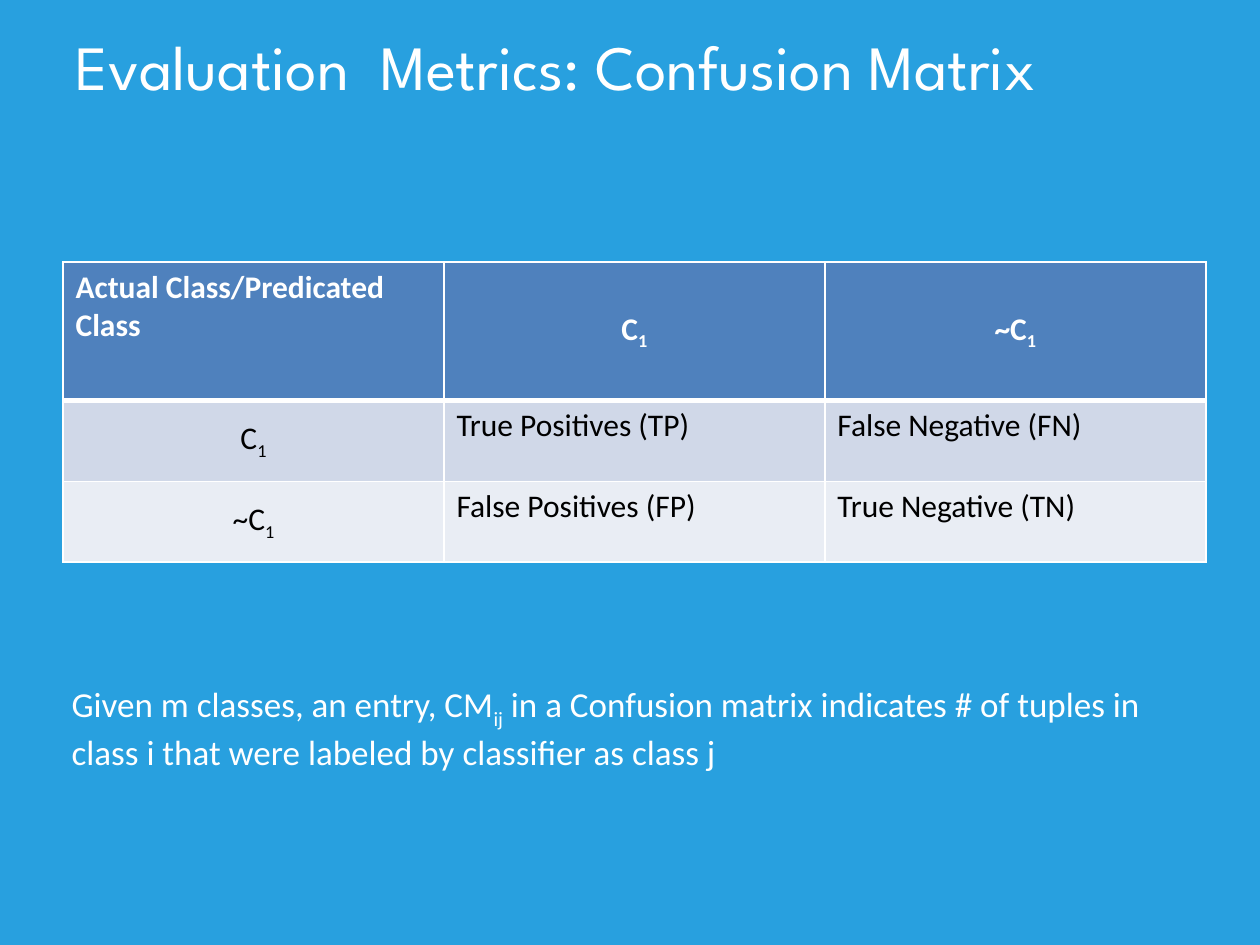
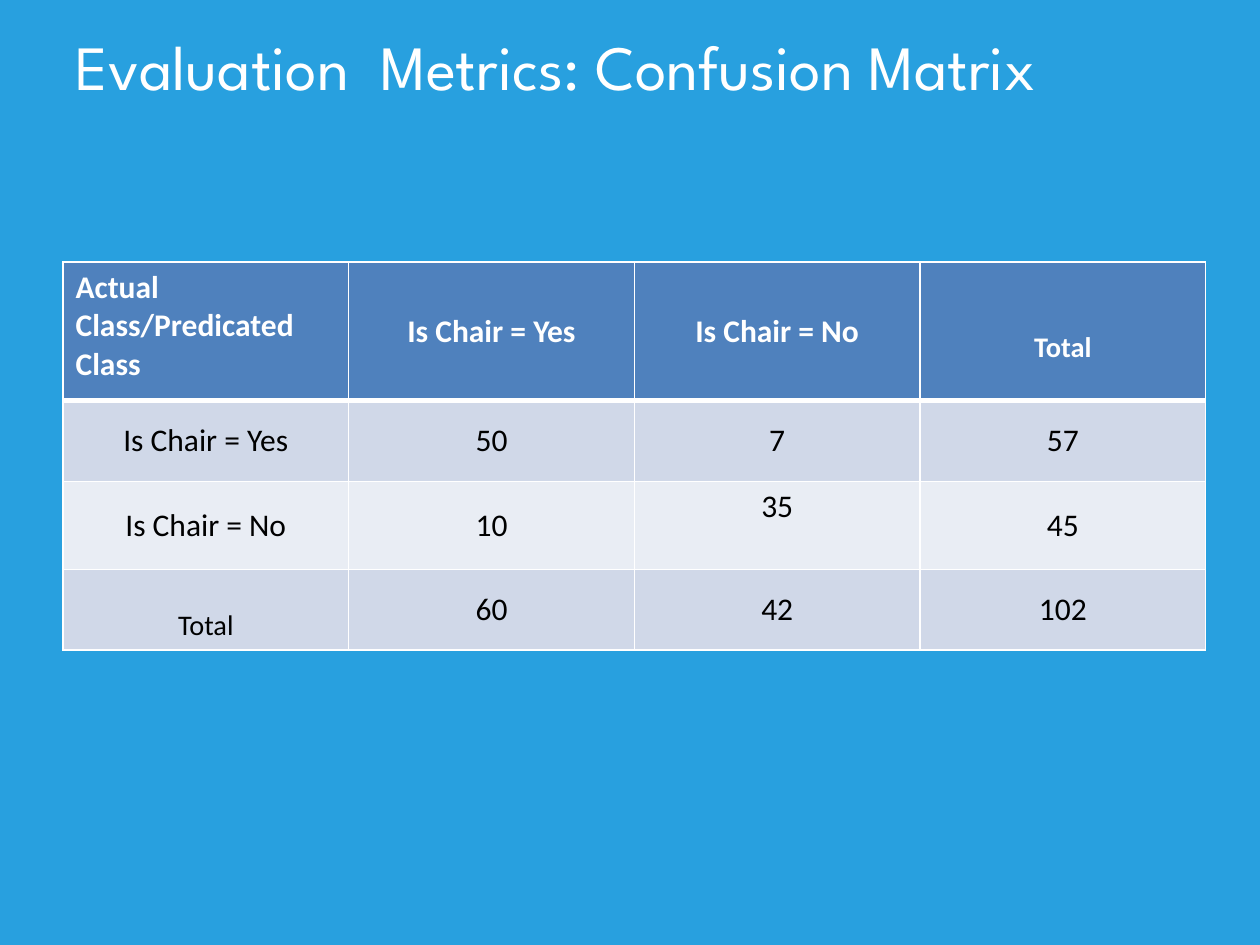
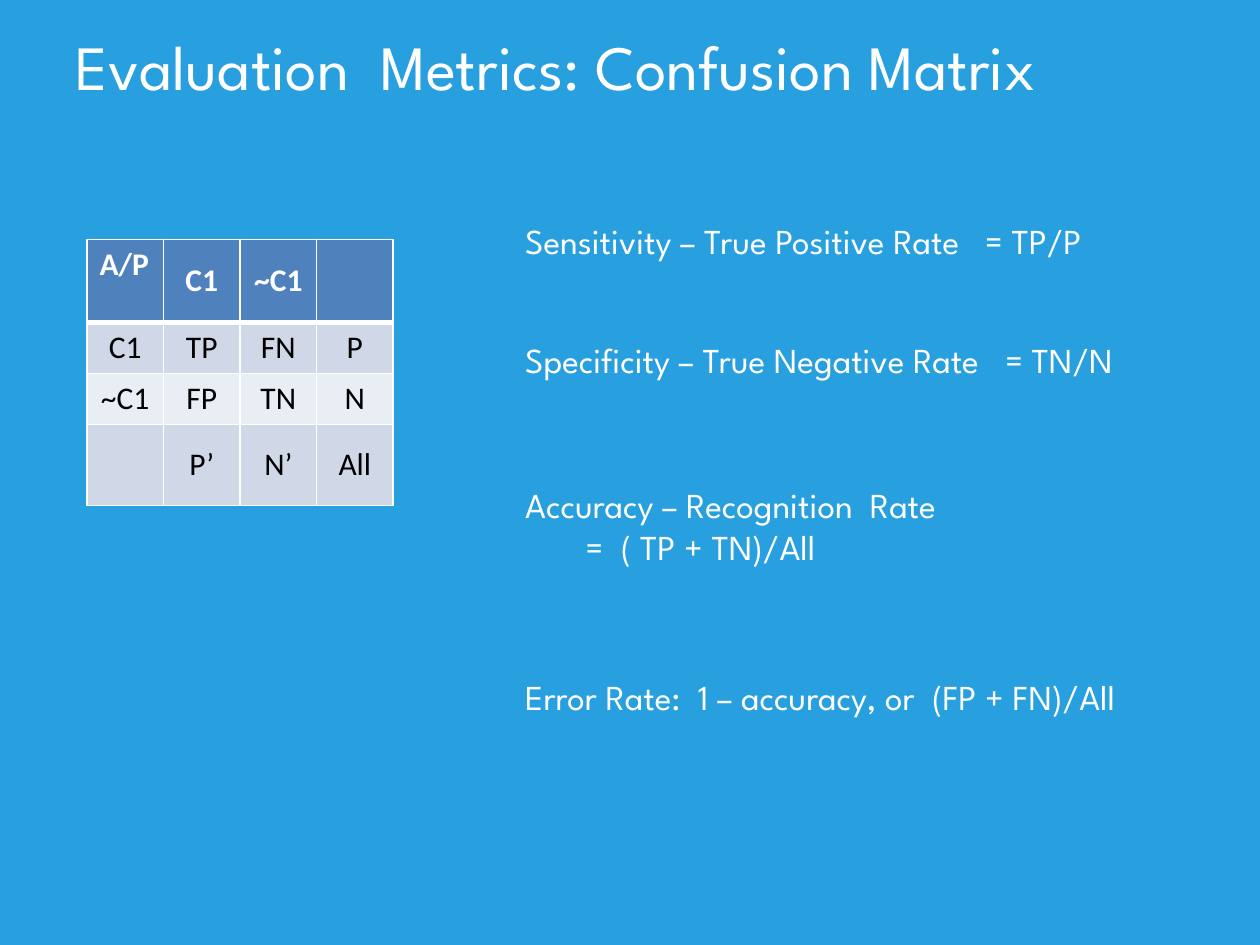
from lxml import etree
from pptx import Presentation
from pptx.dml.color import RGBColor
from pptx.enum.text import MSO_ANCHOR, MSO_AUTO_SIZE, PP_ALIGN
from pptx.oxml.ns import qn
from pptx.util import Inches, Pt

BLUE, WHITE, BLACK = "28A0DF", "FFFFFF", "000000"
HEADER, BANDS = "4F81BD", ("D0D8E8", "E9EDF4")
TITLE_FONT, BODY_FONT = "League Spartan", "Calibri"
TITLE = "Evaluation  Metrics: Confusion Matrix"
CORNER = "Actual Class/Predicated Class"


def rgb(value):
    return RGBColor.from_string(value)


def write(p, text, size=18, font=BODY_FONT, color=WHITE, bold=False,
          align=PP_ALIGN.LEFT):
    """Fill a paragraph; every second part between bars is a subscript."""
    p.alignment = align
    for i, part in enumerate(text.split("|")):
        if not part:
            continue
        r = p.add_run()
        r.text = part
        r.font.size, r.font.name, r.font.bold = Pt(size), font, bold
        r.font.color.rgb = rgb(color)
        if i % 2:
            r.font._element.set("baseline", "-25000")


def add_tab_stop(p, position):
    tabs = etree.SubElement(p._p.get_or_add_pPr(), qn("a:tabLst"))
    etree.SubElement(tabs, qn("a:tab"), pos=str(Inches(position)), algn="l")


def add_indent(p, left):
    p._p.get_or_add_pPr().set("marL", str(Inches(left)))


def add_borders(cell, row):
    """White 1 pt borders, with a 3 pt line under the header row."""
    widths = {"L": 1, "R": 1, "T": 3 if row == 1 else 1, "B": 3 if row == 0 else 1}
    for side, width in widths.items():
        ln = etree.SubElement(cell._tc.get_or_add_tcPr(), qn(f"a:ln{side}"),
                              w=str(Pt(width)))
        fill = etree.SubElement(ln, qn("a:solidFill"))
        etree.SubElement(fill, qn("a:srgbClr"), val=WHITE)


def add_matrix(s, left, top, width, heights, rows, top_cells=(), left_cells=()):
    """Banded table; cells are centred except those listed."""
    n_cols = len(rows[0])
    table = s.shapes.add_table(len(rows), n_cols, Inches(left), Inches(top),
                               Inches(width), Inches(sum(heights))).table
    table.horz_banding = False
    for col in table.columns:
        col.width = Inches(width / n_cols)
    for i, (height, texts) in enumerate(zip(heights, rows)):
        table.rows[i].height = Inches(height)
        for j, text in enumerate(texts):
            cell = table.cell(i, j)
            add_borders(cell, i)
            cell.fill.solid()
            cell.fill.fore_color.rgb = rgb(BANDS[(i - 1) % 2] if i else HEADER)
            is_corner = i == j == 0
            at_top = is_corner or (i, j) in top_cells
            at_left = is_corner or (i, j) in left_cells
            cell.vertical_anchor = MSO_ANCHOR.TOP if at_top else MSO_ANCHOR.MIDDLE
            write(cell.text_frame.paragraphs[0], text,
                  size=28 if text == "|Total" else 18,
                  color=BLACK if i else WHITE, bold=i == 0,
                  align=PP_ALIGN.LEFT if at_left else PP_ALIGN.CENTER)


def add_text(s, left, top, width, height, lines, tab=None, indent=0, **fmt):
    """Text box; tab is a stop in every line, indent shifts later lines."""
    tf = s.shapes.add_textbox(Inches(left), Inches(top), Inches(width),
                              Inches(height)).text_frame
    tf.word_wrap = True
    for i, line in enumerate(lines):
        p = tf.add_paragraph() if i else tf.paragraphs[0]
        if tab:
            add_tab_stop(p, tab)
        if i and indent:
            add_indent(p, indent)
        write(p, line, size=20, **fmt)


def add_titled_slide(prs):
    s = prs.slides.add_slide(prs.slide_layouts[5])
    title = s.shapes.title
    title.left, title.top = Inches(0.5), Inches(0.17)
    title.width, title.height = Inches(9), Inches(1.31)
    tf = title.text_frame
    tf.auto_size = MSO_AUTO_SIZE.NONE
    tf.vertical_anchor = MSO_ANCHOR.TOP
    write(tf.paragraphs[0], TITLE, size=36, font=TITLE_FONT)
    return s


def definition_slide(prs):
    s = add_titled_slide(prs)
    outcomes = [(1, 1), (1, 2), (2, 1), (2, 2)]
    add_matrix(s, 0.5, 2.08, 9.07, [1.1, 0.64, 0.64], [
        [CORNER, "C|1", "~C|1"],
        ["C|1", "True Positives (TP)", "False Negative (FN)"],
        ["~C|1", "False Positives (FP)", "True Negative (TN)"],
    ], top_cells=outcomes, left_cells=outcomes)
    add_text(s, 0.47, 5.37, 8.84, 0.77, [
        "Given m classes, an entry, CM|ij| in a Confusion matrix indicates # of tuples in",
        "class i that were labeled by classifier as class j",
    ])


def example_slide(prs):
    s = add_titled_slide(prs)
    yes, no = "Is Chair = Yes", "Is Chair = No"
    add_matrix(s, 0.5, 2.08, 9.07, [1.1, 0.64, 0.7, 0.64], [
        [CORNER, yes, no, "|Total"],
        [yes, "50", "7", "57"],
        [no, "10", "35", "45"],
        ["|Total", "60", "42", "102"],
    ], top_cells=[(2, 2)])


def measures_slide(prs):
    s = add_titled_slide(prs)
    add_matrix(s, 0.69, 1.9, 2.43, [0.66, 0.4, 0.4, 0.64], [
        ["A/P", "C1", "~C1", ""],
        ["C1", "TP", "FN", "P"],
        ["~C1", "FP", "TN", "N"],
        ["", "P’", "N’", "All"],
    ])
    measures = [
        (1.69, 5.17, 0.44, ["Sensitivity – True Positive Rate\t= TP/P"], 3.65),
        (2.64, 5.62, 0.44, ["Specificity – True Negative Rate\t= TN/N"], 3.81),
        (3.79, 4.51, 0.77, ["Accuracy – Recognition  Rate", "=  ( TP + TN)/All"], None),
        (5.31, 5.79, 0.44, ["Error Rate:  1 – accuracy, or  (FP + FN)/All"], None),
    ]
    for top, width, height, lines, tab in measures:
        add_text(s, 4.07, top, width, height, lines, tab=tab, indent=0.48,
                 font=TITLE_FONT)


def main():
    prs = Presentation()
    prs.slide_width, prs.slide_height = Inches(10), Inches(7.5)
    background = prs.slide_master.background.fill
    background.solid()
    background.fore_color.rgb = rgb(BLUE)
    definition_slide(prs)
    example_slide(prs)
    measures_slide(prs)
    prs.save("out.pptx")


if __name__ == "__main__":
    main()
